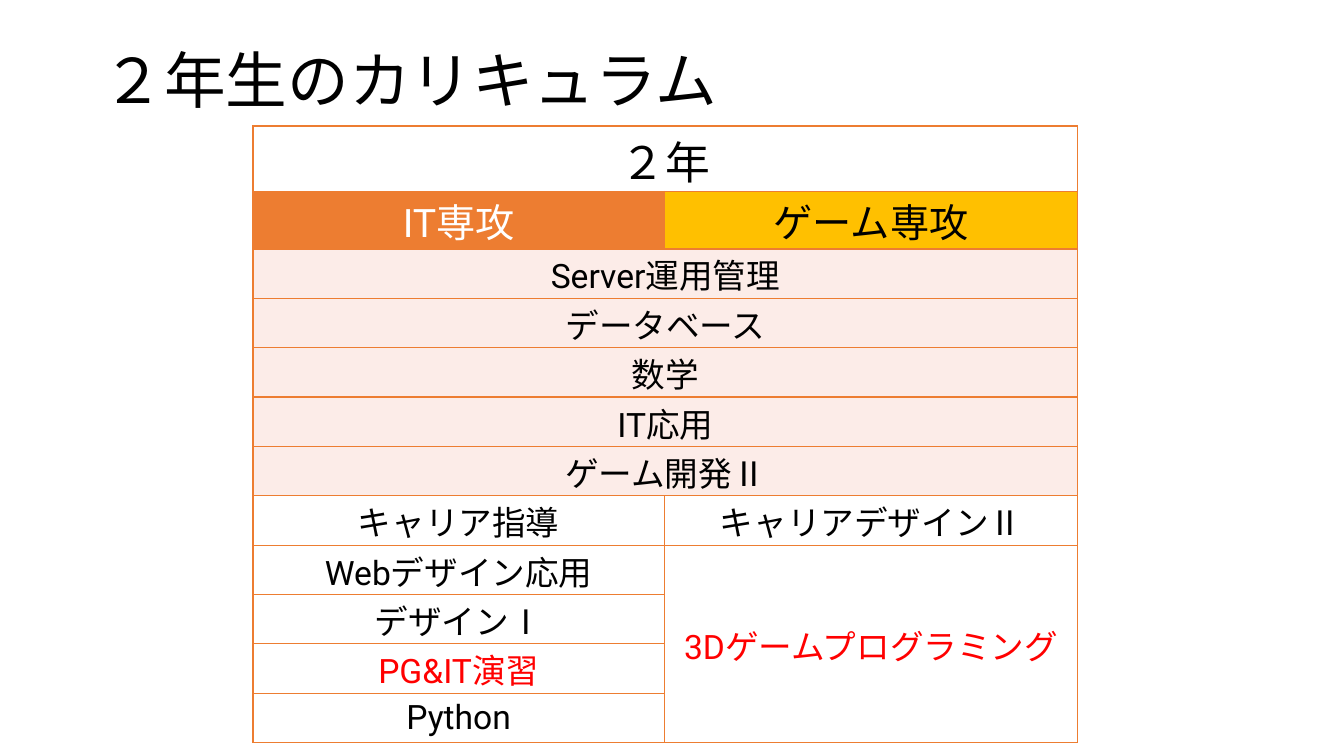
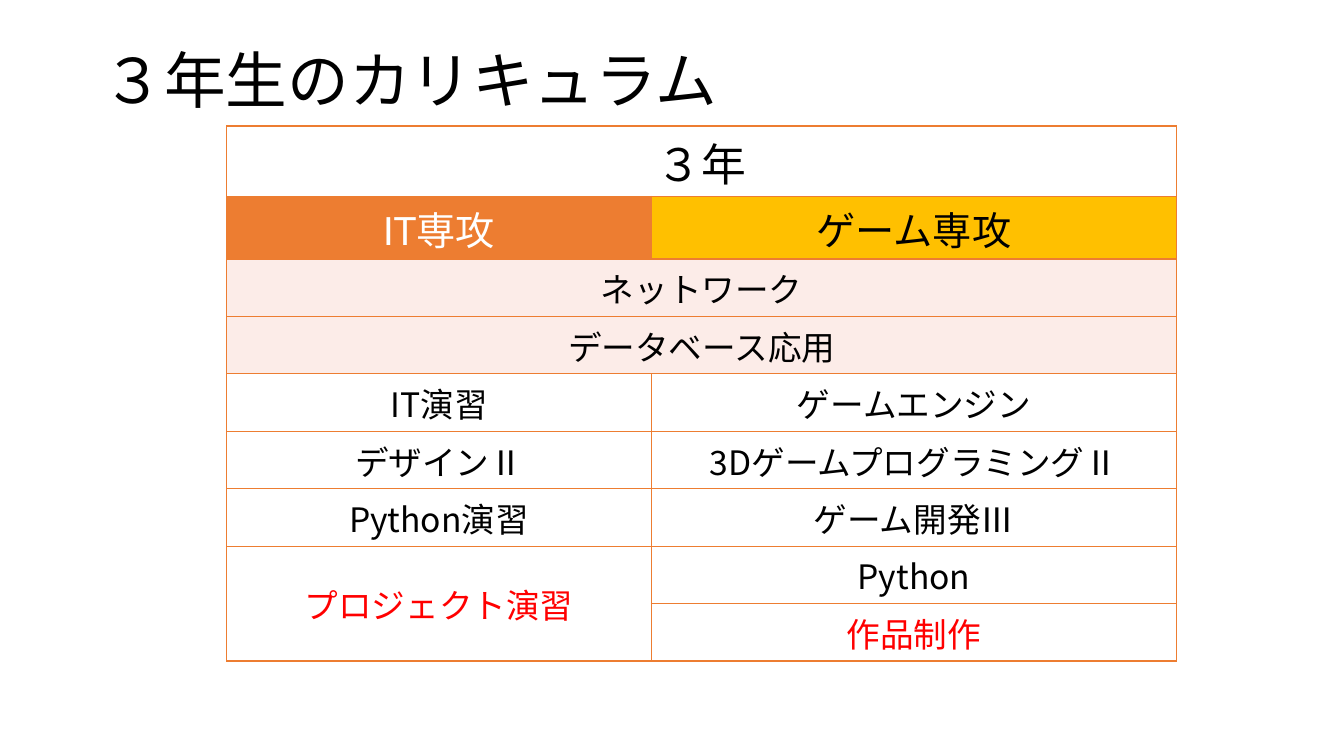
from dataclasses import dataclass

import pptx
import pptx.dml.color
import pptx.enum.text
import pptx.oxml
import pptx.oxml.ns
import pptx.util

SLIDE_W, SLIDE_H = 13.33, 7.5
TITLE_X, TITLE_Y, TITLE_W, TITLE_H = 0.92, 0.4, 11.5, 0.85
TABLE_Y = TITLE_Y + TITLE_H
LATIN, CJK = "Roboto", "Noto Sans CJK JP"
COLORS = {
    "text": "000000",
    "white": "FFFFFF",
    "it": "ED7D31",
    "game": "FFC000",
    "shared": "FCECE8",
    "key": "FF0000",
}


@dataclass(frozen=True)
class Style:
    size: int
    fill: str = "white"
    color: str = "text"


YEAR = Style(32)
IT = Style(28, "it", "white")
GAME = Style(28, "game")
SHARED = Style(24, "shared")
COURSE = Style(24)
KEY = Style(24, color="key")


@dataclass(frozen=True)
class Entry:
    text: str
    style: Style = COURSE
    rows: int = 1


@dataclass(frozen=True)
class Curriculum:
    year: str
    left: float
    columns: tuple[float, float]
    heights: tuple[float, float, float]
    font: str
    shared: list[str]
    it: list[Entry]
    game: list[Entry]


CURRICULA = [
    Curriculum(
        "２年", 2.51, (4.08, 4.1), (0.65, 0.57, 0.49), LATIN,
        ["Server運用管理", "データベース", "数学", "IT応用", "ゲーム開発Ⅱ"],
        [Entry("キャリア指導"), Entry("Webデザイン応用"), Entry("デザインⅠ"),
         Entry("PG&IT演習", KEY), Entry("Python")],
        [Entry("キャリアデザインⅡ"), Entry("3Dゲームプログラミング", KEY, 4)],
    ),
    Curriculum(
        "３年", 2.25, (4.21, 5.21), (0.7, 0.62, 0.57), CJK,
        ["ネットワーク", "データベース応用"],
        [Entry("IT演習"), Entry("デザインⅡ"), Entry("Python演習"),
         Entry("プロジェクト演習", KEY, 2)],
        [Entry("ゲームエンジン"), Entry("3DゲームプログラミングⅡ"),
         Entry("ゲーム開発Ⅲ"), Entry("Python"), Entry("作品制作", KEY)],
    ),
]


def rgb(name: str) -> pptx.dml.color.RGBColor:
    return pptx.dml.color.RGBColor.from_string(COLORS[name])


def format_text(tf, size: int, color: str, font: str) -> None:
    for p in tf.paragraphs:
        for r in p.runs:
            r.font.size = pptx.util.Pt(size)
            r.font.name = font
            r.font.color.rgb = rgb(color)
            ea = pptx.oxml.parse_xml(
                f'<a:ea {pptx.oxml.ns.nsdecls("a")} typeface="{CJK}"/>')
            r.font._element.find(pptx.oxml.ns.qn("a:latin")).addnext(ea)


def add_title(s, text: str) -> None:
    box = [pptx.util.Inches(v) for v in (TITLE_X, TITLE_Y, TITLE_W, TITLE_H)]
    tf = s.shapes.add_textbox(*box).text_frame
    tf.word_wrap = True
    tf.vertical_anchor = pptx.enum.text.MSO_ANCHOR.MIDDLE
    tf.text = text
    tf.paragraphs[0].line_spacing = 0.9
    format_text(tf, 44, "text", LATIN)


def style_cell(cell, fill: str) -> None:
    tc_pr = cell._tc.get_or_add_tcPr()
    for side in ("lnL", "lnR", "lnT", "lnB"):
        tc_pr.append(pptx.oxml.parse_xml(
            f'<a:{side} {pptx.oxml.ns.nsdecls("a")} w="{pptx.util.Pt(1)}">'
            f'<a:solidFill><a:srgbClr val="{COLORS["it"]}"/></a:solidFill>'
            f'</a:{side}>'))
    cell.fill.solid()
    cell.fill.fore_color.rgb = rgb(fill)
    cell.margin_left = cell.margin_right = cell.margin_top = pptx.util.Inches(0.01)
    cell.margin_bottom = 0
    cell.vertical_anchor = pptx.enum.text.MSO_ANCHOR.MIDDLE


def put(table, row: int, col: int, entry: Entry, font: str, cols: int = 1) -> None:
    last_row, last_col = row + entry.rows - 1, col + cols - 1
    for i in range(row, last_row + 1):
        for j in range(col, last_col + 1):
            style_cell(table.cell(i, j), entry.style.fill)
    cell = table.cell(row, col)
    if (last_row, last_col) != (row, col):
        cell.merge(table.cell(last_row, last_col))
    tf = cell.text_frame
    tf.text = entry.text
    tf.paragraphs[0].alignment = pptx.enum.text.PP_ALIGN.CENTER
    format_text(tf, entry.style.size, entry.style.color, font)


def add_curriculum(s, plan: Curriculum) -> None:
    split_row = 2 + len(plan.shared)
    count = split_row + sum(e.rows for e in plan.it)
    year_h, major_h, course_h = plan.heights
    heights = [year_h, major_h] + [course_h] * (count - 2)
    box = (plan.left, TABLE_Y, sum(plan.columns), sum(heights))
    table = s.shapes.add_table(
        count, 2, *[pptx.util.Inches(v) for v in box]).table
    table.first_row = table.horz_banding = False
    for column, width in zip(table.columns, plan.columns):
        column.width = pptx.util.Inches(width)
    for row, height in zip(table.rows, heights):
        row.height = pptx.util.Inches(height)

    put(table, 0, 0, Entry(plan.year, YEAR), LATIN, cols=2)
    put(table, 1, 0, Entry("IT専攻", IT), LATIN)
    put(table, 1, 1, Entry("ゲーム専攻", GAME), LATIN)
    for row, text in enumerate(plan.shared, start=2):
        put(table, row, 0, Entry(text, SHARED), plan.font, cols=2)
    for col, entries in enumerate((plan.it, plan.game)):
        row = split_row
        for entry in entries:
            put(table, row, col, entry, plan.font)
            row += entry.rows


def main() -> None:
    prs = pptx.Presentation()
    prs.slide_width = pptx.util.Inches(SLIDE_W)
    prs.slide_height = pptx.util.Inches(SLIDE_H)
    for plan in CURRICULA:
        s = prs.slides.add_slide(prs.slide_layouts[6])
        add_title(s, f"{plan.year}生のカリキュラム")
        add_curriculum(s, plan)
    prs.save("out.pptx")


if __name__ == "__main__":
    main()
